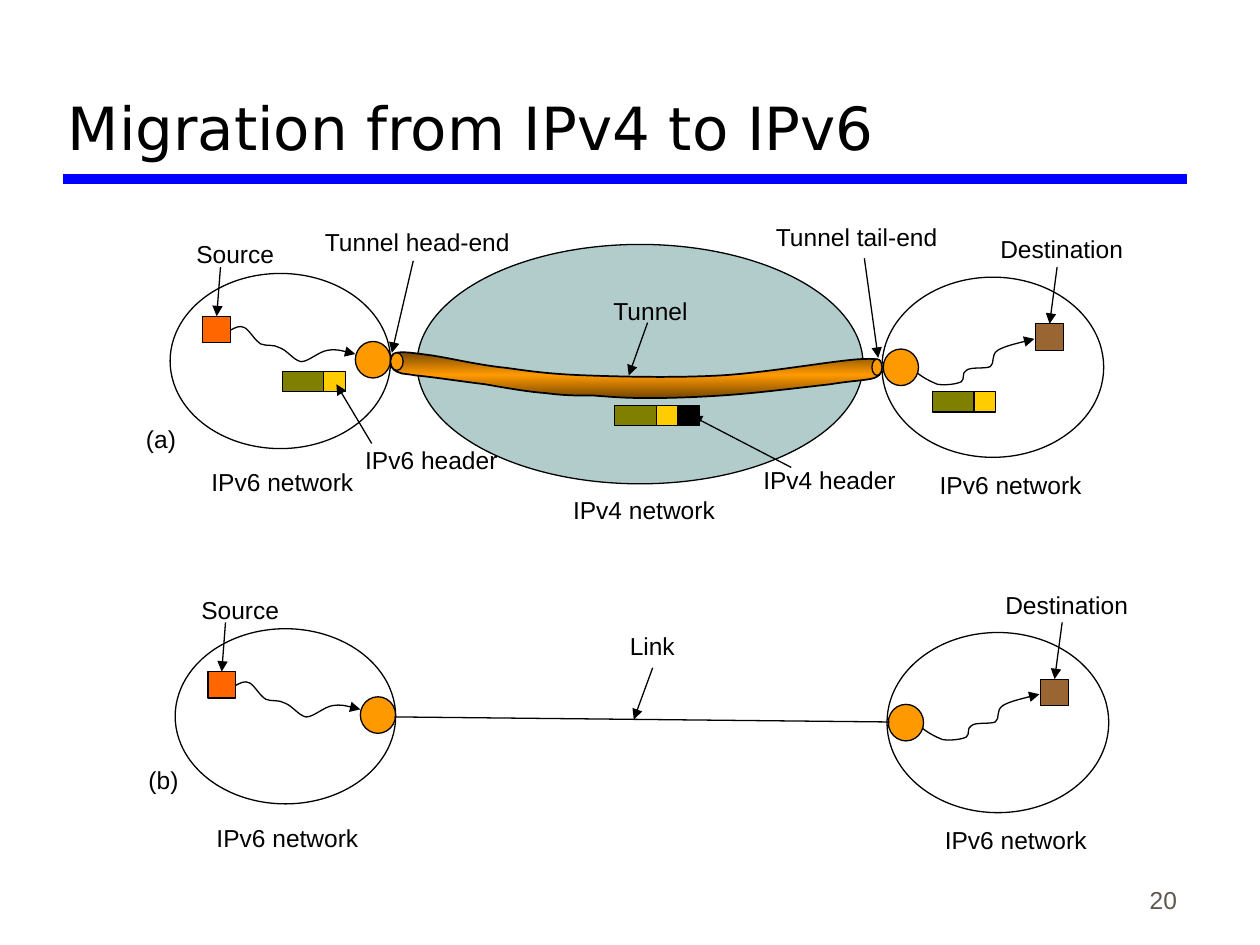
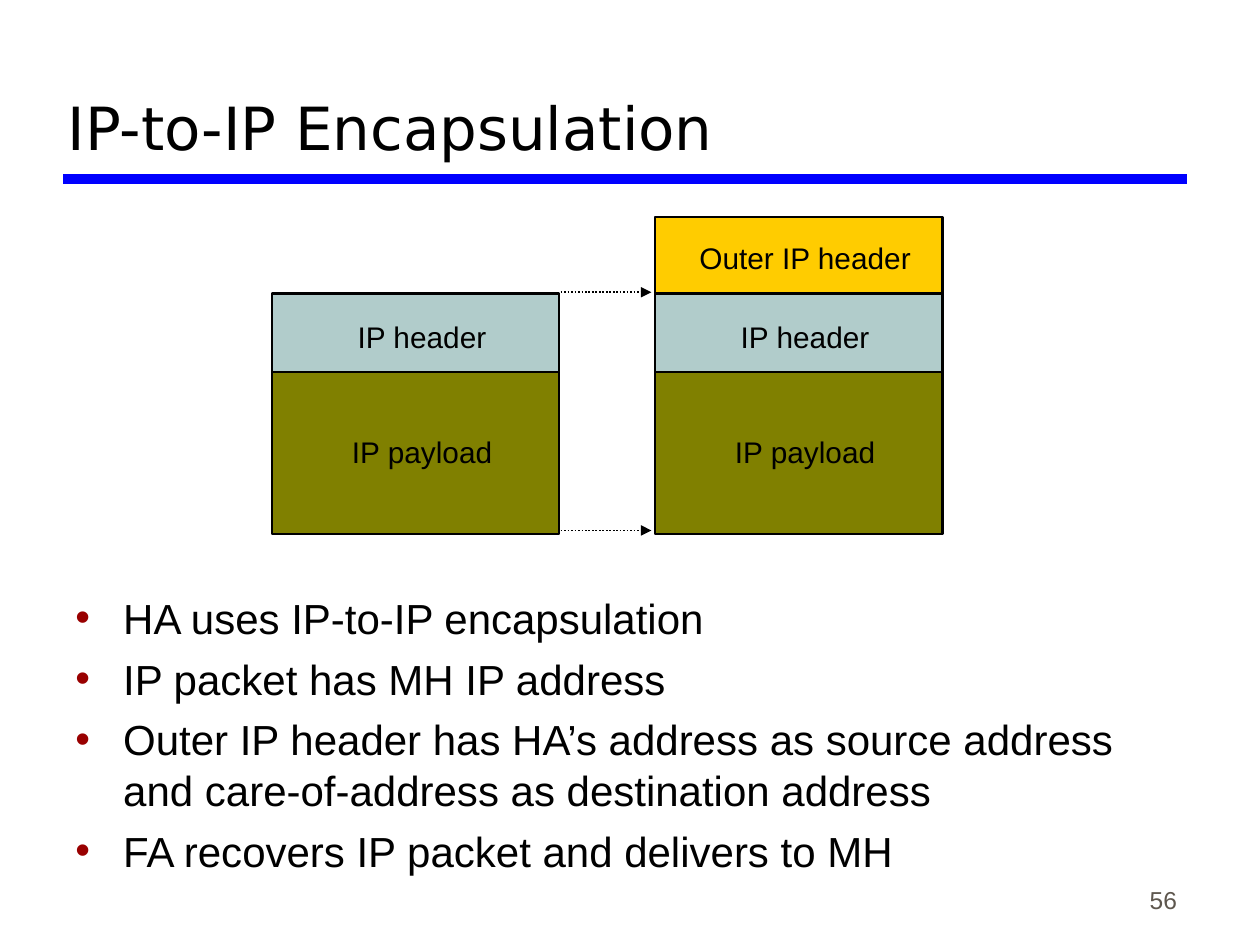
from copy import deepcopy

from lxml import etree
from pptx import Presentation
from pptx.dml.color import RGBColor
from pptx.enum.dml import MSO_LINE
from pptx.enum.shapes import MSO_CONNECTOR, MSO_SHAPE
from pptx.enum.text import MSO_ANCHOR, MSO_AUTO_SIZE, PP_ALIGN
from pptx.oxml.ns import qn
from pptx.util import Inches, Pt

ELLIPSE, RECTANGLE = MSO_SHAPE.OVAL, MSO_SHAPE.RECTANGLE
STRAIGHT = MSO_CONNECTOR.STRAIGHT
DOTTED = MSO_LINE.ROUND_DOT
TOP, BOTTOM = MSO_ANCHOR.TOP, MSO_ANCHOR.BOTTOM
LEFT, RIGHT, CENTER = PP_ALIGN.LEFT, PP_ALIGN.RIGHT, PP_ALIGN.CENTER
FIT_TEXT = MSO_AUTO_SIZE.SHAPE_TO_FIT_TEXT

BODY_FONT, TITLE_FONT = "Arial", "DejaVu Sans"
BLACK, WHITE, BLUE, GRAY = "000000", "FFFFFF", "0000FF", "5E574E"
ORANGE, RED_ORANGE, BROWN, DARK_ORANGE = "FF9900", "FF6600", "996633", "764700"
TEAL, OLIVE, YELLOW, DARK_RED = "B1CCCB", "808000", "FFCC00", "990000"
LABEL_SLACK = 0.08

SOURCE_ROUTE = [
    (1.83, 2.62), (1.87, 2.6), (1.9, 2.58), (1.94, 2.6), (1.98, 2.62),
    (2.02, 2.7), (2.07, 2.73), (2.12, 2.75), (2.17, 2.73), (2.22, 2.76),
    (2.28, 2.78), (2.33, 2.86), (2.39, 2.87), (2.45, 2.87), (2.53, 2.79),
    (2.6, 2.78), (2.67, 2.77), (2.74, 2.79), (2.82, 2.81),
]
DESTINATION_ROUTE = [
    (7.28, 2.96), (7.33, 3), (7.39, 3.03), (7.44, 3.05), (7.5, 3.06),
    (7.59, 3.05), (7.63, 3.03), (7.66, 3.01), (7.63, 2.96), (7.67, 2.94),
    (7.7, 2.91), (7.82, 2.93), (7.86, 2.91), (7.9, 2.88), (7.86, 2.82),
    (7.92, 2.78), (7.97, 2.75), (8.09, 2.72), (8.21, 2.69),
]
TUNNEL_OUTLINE = [
    (6.99, 2.9), (7, 2.93), (7.01, 2.97), (6.94, 3), (6.88, 3.02),
    (6.77, 3.02), (6.59, 3.05), (6.41, 3.07), (6.09, 3.11), (5.85, 3.13),
    (5.61, 3.15), (5.34, 3.16), (5.15, 3.16), (4.96, 3.16), (4.85, 3.15),
    (4.72, 3.14), (4.58, 3.14), (4.48, 3.14), (4.33, 3.12), (4.19, 3.11),
    (4.02, 3.08), (3.85, 3.05), (3.68, 3.03), (3.42, 2.99), (3.3, 2.98),
    (3.18, 2.96), (3.18, 2.97), (3.15, 2.95), (3.11, 2.93), (3.1, 2.9),
    (3.1, 2.88), (3.1, 2.86), (3.09, 2.81), (3.15, 2.8), (3.2, 2.79),
    (3.27, 2.8), (3.42, 2.82), (3.56, 2.84), (3.81, 2.9), (4.02, 2.92),
    (4.23, 2.95), (4.38, 2.97), (4.66, 2.98), (4.94, 2.99), (5.35, 3),
    (5.72, 2.98), (6.08, 2.96), (6.63, 2.86), (6.84, 2.85), (7.05, 2.84),
    (6.97, 2.88), (6.99, 2.9),
]


def color(hex_string):
    return RGBColor.from_string(hex_string)


def style_line(line, line_color=BLACK, width=0.75, arrow=False, dash=None):
    line.color.rgb = color(line_color)
    line.width = Pt(width)
    if dash:
        line.dash_style = dash
    if arrow:
        etree.SubElement(line._get_or_add_ln(), qn("a:tailEnd"), type="triangle")


def add_box(slide, kind, left, top, width, height, fill, line_width=0.75):
    shape = slide.shapes.add_shape(
        kind, Inches(left), Inches(top), Inches(width), Inches(height))
    shape.shadow.inherit = False
    shape.fill.solid()
    shape.fill.fore_color.rgb = color(fill)
    style_line(shape.line, width=line_width)
    return shape


def add_line(slide, start, end, target=None, **line_style):
    connector = slide.shapes.add_connector(
        STRAIGHT, *(Inches(value) for value in (*start, *end)))
    if target:
        connector.end_connect(target, 0)
    style_line(connector.line, **line_style)
    etree.SubElement(connector._element.spPr, qn("a:effectLst"))


def add_curve(slide, points, closed=False, **line_style):
    start, *others = [(Inches(x), Inches(y)) for x, y in points]
    builder = slide.shapes.build_freeform(*start, scale=1.0)
    builder.add_line_segments(others, close=closed)
    shape = builder.convert_to_shape()
    segments = list(shape._element.iter(qn("a:lnTo")))
    for first, second, third in zip(segments[::3], segments[1::3], segments[2::3]):
        first.tag = qn("a:cubicBezTo")
        for segment in (second, third):
            first.append(segment[0])
            segment.getparent().remove(segment)
    shape.shadow.inherit = False
    shape.fill.background()
    style_line(shape.line, **line_style)
    return shape


def format_paragraph(paragraph, size, font=BODY_FONT, text_color=BLACK,
                     align=LEFT, space_before=0):
    paragraph.alignment = align
    paragraph.space_before = Pt(space_before)
    for run in paragraph.runs:
        run.font.name = font
        run.font.size = Pt(size)
        run.font.color.rgb = color(text_color)


def add_text(slide, text, left, top, width, height, size, anchor=TOP, **text_style):
    box = slide.shapes.add_textbox(
        Inches(left), Inches(top), Inches(width), Inches(height))
    frame = box.text_frame
    frame.word_wrap = True
    frame.vertical_anchor = anchor
    frame.text = text
    for paragraph in frame.paragraphs:
        format_paragraph(paragraph, size, **text_style)
    return frame


def add_label(slide, text, left, top, width):
    frame = add_text(slide, text, left, top, width + LABEL_SLACK, 0.34, 14, space_before=5.2)
    frame.auto_size = FIT_TEXT


def add_bullet(paragraph):
    properties = paragraph._p.get_or_add_pPr()
    properties.set("marL", str(Inches(0.38)))
    properties.set("indent", str(-Inches(0.38)))
    bullet_color = etree.SubElement(properties, qn("a:buClr"))
    etree.SubElement(bullet_color, qn("a:srgbClr"), val=DARK_RED)
    etree.SubElement(properties, qn("a:buFont"), typeface=BODY_FONT)
    etree.SubElement(properties, qn("a:buChar"), char="•")


def add_titled_slide(presentation, title, number):
    slide = presentation.slides.add_slide(presentation.slide_layouts[6])
    add_line(slide, (0.5, 1.42), (9.42, 1.42), line_color=BLUE, width=6)
    add_text(slide, number, 7.36, 6.81, 2.08, 0.5, 14, BOTTOM,
             text_color=GRAY, align=RIGHT, space_before=8.8)
    add_text(slide, title, 0.44, 0.17, 8.97, 1.17, 34, BOTTOM, font=TITLE_FONT)
    return slide


def add_host(slide, name, left, top, fill, label_at, label_width, arrow_start):
    host = add_box(slide, RECTANGLE, left, top, 0.22, 0.21, fill)
    add_label(slide, name, *label_at, label_width)
    add_line(slide, arrow_start, (left + 0.11, top), host, arrow=True)


def add_network_pair(slide, right=0, down=0):
    def move(x, y):
        return x + right, y + down

    add_box(slide, ELLIPSE, *move(1.35, 2.17), 1.75, 1.39, WHITE)
    add_box(slide, ELLIPSE, *move(7, 2.2), 1.76, 1.43, WHITE)
    for router in ((2.82, 2.71), (7.01, 2.77)):
        add_box(slide, ELLIPSE, *move(*router), 0.28, 0.29, ORANGE)
    add_host(slide, "Source", *move(1.61, 2.51), RED_ORANGE,
             move(1.46, 1.85), 0.82, move(1.75, 2.12))
    add_host(slide, "Destination", *move(8.22, 2.57), BROWN,
             move(7.84, 1.81), 1.17, move(8.39, 2.12))
    for network_label in ((1.58, 3.66), (7.36, 3.68)):
        add_label(slide, "IPv6 network", *move(*network_label), 1.32)
    for route in (SOURCE_ROUTE, DESTINATION_ROUTE):
        add_curve(slide, [move(*point) for point in route], arrow=True)


def add_packet(slide, left, top, header_colors):
    add_box(slide, RECTANGLE, left, top, 0.33, 0.16, OLIVE)
    for index, fill in enumerate(header_colors):
        add_box(slide, RECTANGLE, left + 0.33 + 0.17 * index, top, 0.17, 0.16, fill)


def add_tunnel(slide):
    tunnel = add_curve(slide, TUNNEL_OUTLINE, closed=True, width=1)
    tunnel.fill.gradient()
    tunnel.fill.gradient_angle = 90
    stop_list = next(tunnel._element.iter(qn("a:gsLst")))
    stop_list.append(deepcopy(stop_list[0]))
    shades = ((0, DARK_ORANGE), (0.5, ORANGE), (1, DARK_ORANGE))
    for stop, (position, shade) in zip(tunnel.fill.gradient_stops, shades):
        stop.position = position
        stop.color.rgb = color(shade)
    add_box(slide, ELLIPSE, 3.1, 2.8, 0.1, 0.14, ORANGE)
    add_box(slide, ELLIPSE, 6.92, 2.85, 0.08, 0.13, ORANGE)


def build_migration_slide(presentation):
    slide = add_titled_slide(presentation, "Migration from IPv4 to IPv6", "20")
    add_network_pair(slide, right=0.04, down=2.82)
    add_line(slide, (3.13, 5.69), (7.06, 5.73))

    add_box(slide, ELLIPSE, 3.31, 1.94, 3.54, 1.9, TEAL)
    add_network_pair(slide)
    for left, top, headers in (
        (2.24, 2.95, [YELLOW]),
        (4.88, 3.22, [YELLOW, BLACK]),
        (7.4, 3.11, [YELLOW]),
    ):
        add_packet(slide, left, top, headers)
    add_tunnel(slide)
    for text, left, top, width in (
        ("(a)", 1.06, 3.32, 0.44),
        ("(b)", 1.08, 6.02, 0.44),
        ("IPv4 network", 4.45, 3.88, 1.32),
        ("Link", 4.9, 4.96, 0.56),
        ("Tunnel", 4.77, 2.3, 0.79),
        ("Tunnel head-end", 2.48, 1.75, 1.67),
        ("Tunnel tail-end", 6.06, 1.71, 1.49),
        ("IPv6 header", 2.8, 3.48, 1.25),
        ("IPv4 header", 5.96, 3.64, 1.25),
    ):
        add_label(slide, text, left, top, width)
    for start, end in (
        ((5.18, 5.3), (5.03, 5.71)),
        ((5.14, 2.56), (4.99, 2.98)),
        ((3.28, 2.07), (3.11, 2.8)),
        ((6.86, 2.05), (6.97, 2.84)),
        ((2.95, 3.52), (2.67, 3.05)),
        ((6.28, 3.71), (5.49, 3.3)),
    ):
        add_line(slide, start, end, arrow=True)


def add_packet_layer(slide, left, name, top, height, fill, label_top, label_width):
    add_box(slide, RECTANGLE, left, top, 2.28, height, fill, line_width=1.25)
    label_left = left + 1.19 - label_width / 2
    frame = add_text(slide, name, label_left, label_top, label_width, 0.28, 17, align=CENTER)
    frame.margin_left = frame.margin_right = frame.margin_top = frame.margin_bottom = 0
    frame.word_wrap = False
    frame.auto_size = FIT_TEXT


def build_encapsulation_slide(presentation):
    slide = add_titled_slide(presentation, "IP-to-IP Encapsulation", "56")
    bullets = (
        "HA uses IP-to-IP encapsulation",
        "IP packet has MH IP address",
        "Outer IP header has HA’s address as source address "
        "and care-of-address as destination address",
        "FA recovers IP packet and delivers to MH",
    )
    frame = add_text(slide, "\n".join(bullets), 0.5, 4.65, 9, 2.69, 24, space_before=6)
    for paragraph in frame.paragraphs:
        add_bullet(paragraph)

    add_packet_layer(slide, 5.2, "Outer IP header", 1.72, 0.62, YELLOW, 1.9, 1.68)
    for left in (2.16, 5.2):
        add_packet_layer(slide, left, "IP header", 2.33, 0.62, TEAL, 2.53, 1.03)
        add_packet_layer(slide, left, "IP payload", 2.95, 1.29, OLIVE, 3.44, 1.12)
    for height in (2.32, 4.21):
        add_line(slide, (4.45, height), (5.17, height), width=1, arrow=True, dash=DOTTED)


def main():
    presentation = Presentation()
    presentation.slide_width = Inches(10)
    presentation.slide_height = Inches(7.5)
    build_migration_slide(presentation)
    build_encapsulation_slide(presentation)
    presentation.save("out.pptx")


if __name__ == "__main__":
    main()
